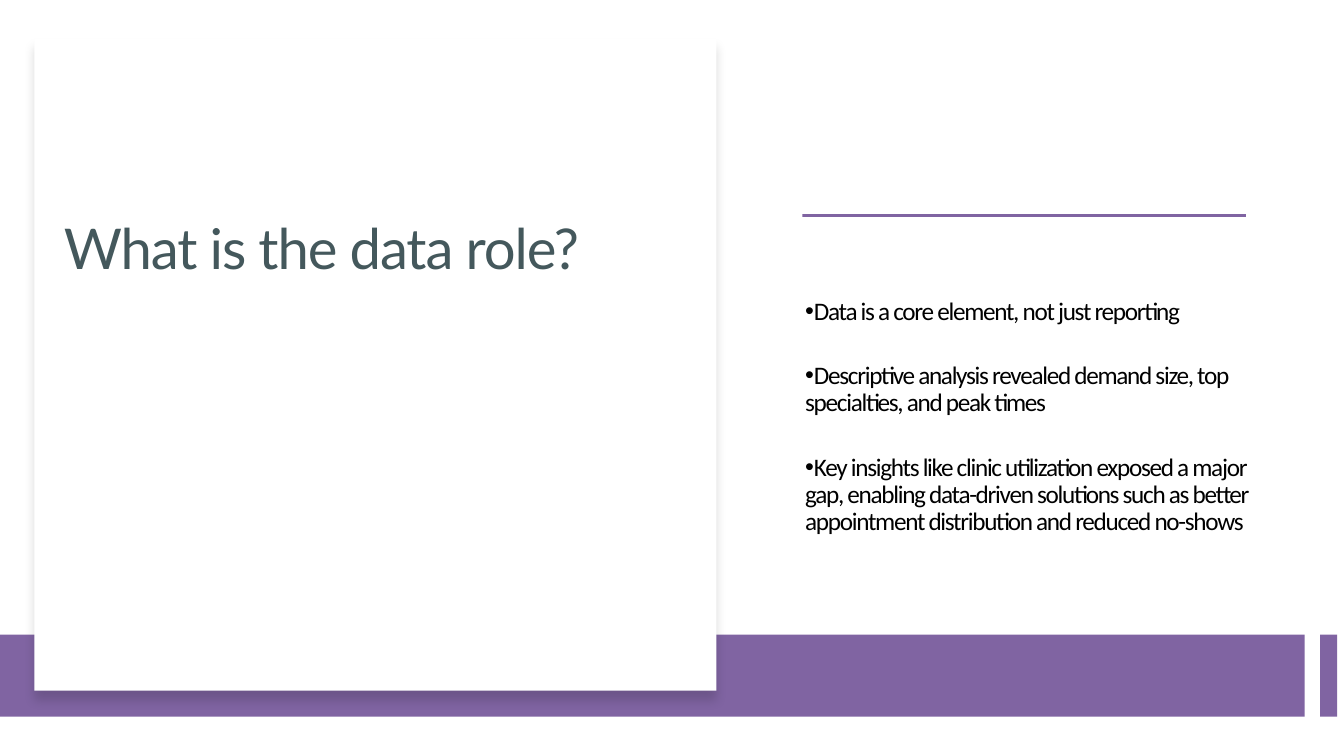
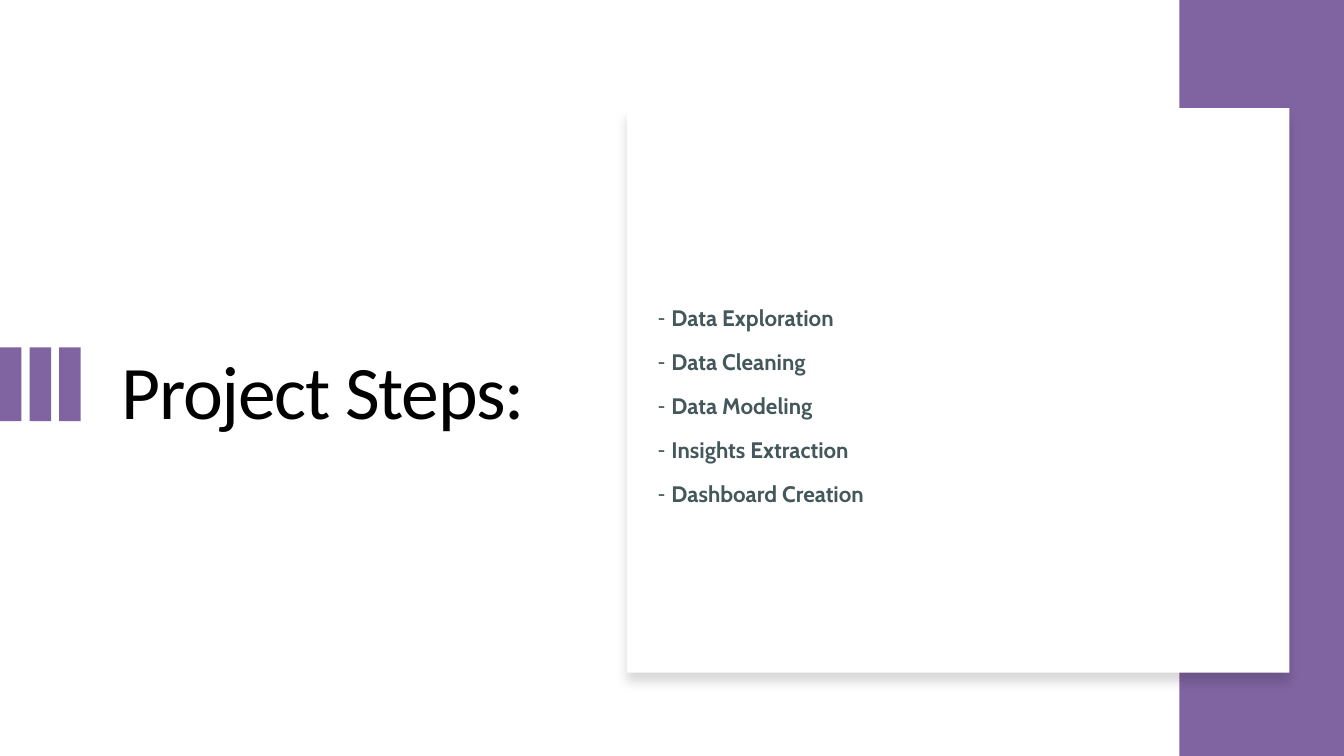
from dataclasses import dataclass

import lxml.etree
import pptx
import pptx.dml.color
import pptx.enum.shapes
import pptx.enum.text
import pptx.oxml
import pptx.oxml.ns
import pptx.util

Cm = pptx.util.Cm
Pt = pptx.util.Pt
RGBColor = pptx.dml.color.RGBColor
ANCHOR = pptx.enum.text.MSO_ANCHOR

PURPLE = RGBColor(0x80, 0x64, 0xA2)
SLATE = RGBColor(0x44, 0x58, 0x5C)
BLACK = RGBColor(0x00, 0x00, 0x00)
WHITE = RGBColor(0xFF, 0xFF, 0xFF)

SLIDE_WIDTH, SLIDE_HEIGHT = 50.8, 28.58
BAND_TOP, BAND_HEIGHT = 23.99, 3.1
MARKER_COUNT, MARKER_STEP = 3, 1.12

CARD_SHADOW = (
    f'<a:effectLst {pptx.oxml.ns.nsdecls("a")}>'
    '<a:outerShdw blurRad="139700" dist="127000" dir="5400000" algn="t" rotWithShape="0">'
    '<a:srgbClr val="000000"><a:alpha val="15000"/></a:srgbClr>'
    '</a:outerShdw></a:effectLst>'
)


@dataclass(frozen=True)
class Box:
    """A rectangle in centimetres."""
    left: float
    top: float
    width: float
    height: float

    def lengths(self) -> tuple:
        return Cm(self.left), Cm(self.top), Cm(self.width), Cm(self.height)


@dataclass(frozen=True)
class TextStyle:
    font: str
    size: float
    color: RGBColor
    line_spacing: float | pptx.util.Length
    tracking: float = 0
    bold: bool = False
    space_after: float = 6
    bullet: str = ""
    margin: float = 0
    hanging: float = 0
    anchor: ANCHOR = ANCHOR.TOP
    inset: bool = False


CARD_TITLE = TextStyle("Lato", 60.2, SLATE, Pt(72.2), tracking=-1.2)
OPEN_TITLE = TextStyle("Calibri", 81, BLACK, 0.9, tracking=-1.4,
                       anchor=ANCHOR.MIDDLE, inset=True)
FINDINGS = TextStyle("Calibri", 27, BLACK, 0.9, tracking=-1.4, space_after=40,
                     bullet="•", hanging=0.64, anchor=ANCHOR.MIDDLE, inset=True)
STEPS = TextStyle("Cabin", 24, SLATE, Pt(17.5), bold=True, space_after=29.5,
                  bullet="-", margin=0.51, hanging=0.51)


def add_block(slide: pptx.slide.Slide, box: Box, color: RGBColor = PURPLE):
    block = slide.shapes.add_shape(
        pptx.enum.shapes.MSO_SHAPE.RECTANGLE, *box.lengths())
    block.shadow.inherit = False
    block.fill.solid()
    block.fill.fore_color.rgb = color
    block.line.fill.background()
    return block


def add_card(slide: pptx.slide.Slide, box: Box) -> None:
    """Add a white panel with a soft shadow below it."""
    properties = add_block(slide, box, WHITE).element.spPr
    properties.remove(properties.find(pptx.oxml.ns.qn("a:effectLst")))
    properties.append(pptx.oxml.parse_xml(CARD_SHADOW))


def format_paragraph(paragraph, style: TextStyle) -> None:
    paragraph.alignment = pptx.enum.text.PP_ALIGN.LEFT
    paragraph.line_spacing = style.line_spacing
    paragraph.space_before = Pt(0)
    paragraph.space_after = Pt(style.space_after)
    if style.bullet:
        properties = paragraph._p.get_or_add_pPr()
        properties.set("marL", str(Cm(style.margin)))
        properties.set("indent", str(-Cm(style.hanging)))
        lxml.etree.SubElement(
            properties, pptx.oxml.ns.qn("a:buChar"), char=style.bullet)
    font = paragraph.font
    font.name = style.font
    font.size = Pt(style.size)
    font.bold = style.bold
    font.color.rgb = style.color
    font._rPr.set("spc", str(round(style.tracking * 100)))


def fill_placeholder(slide: pptx.slide.Slide, index: int, box: Box,
                     lines: list[str], style: TextStyle) -> None:
    """Write into a placeholder and bring it in front of the blocks."""
    holder = slide.placeholders[index]
    holder.left, holder.top, holder.width, holder.height = box.lengths()
    frame = holder.text_frame
    frame.word_wrap = True
    frame.auto_size = pptx.enum.text.MSO_AUTO_SIZE.NONE
    frame.vertical_anchor = style.anchor
    if not style.inset:
        frame.margin_left = frame.margin_right = Cm(0)
        frame.margin_top = frame.margin_bottom = Cm(0)
    frame.text = "\n".join(lines)
    for paragraph in frame.paragraphs:
        format_paragraph(paragraph, style)
    slide.shapes.element.append(holder.element)


def build_data_role(slide: pptx.slide.Slide) -> None:
    add_block(slide, Box(0, BAND_TOP, 49.31, BAND_HEIGHT))
    add_block(slide, Box(49.9, BAND_TOP, 0.64, BAND_HEIGHT))
    add_card(slide, Box(1.3, 1.47, 25.78, 24.64))
    add_block(slide, Box(30.33, 8.1, 16.76, 0.1))
    fill_placeholder(slide, 0, Box(2.41, 8.05, 23.44, 2.49),
                     ["What is the data role?"], CARD_TITLE)
    fill_placeholder(slide, 1, Box(30.18, 8.46, 17.86, 14.63), [
        "Data is a core element, not just reporting",
        "Descriptive analysis revealed demand size, top specialties, and peak times",
        "Key insights like clinic utilization exposed a major gap, enabling "
        "data-driven solutions such as better appointment distribution and "
        "reduced no-shows",
    ], FINDINGS)


def build_project_steps(slide: pptx.slide.Slide) -> None:
    for marker in range(MARKER_COUNT):
        add_block(slide, Box(marker * MARKER_STEP, 13.13, 0.81, 2.79))
    add_block(slide, Box(44.58, 0, SLIDE_WIDTH - 44.58, SLIDE_HEIGHT))
    add_card(slide, Box(23.7, 4.09, 25.04, 21.34))
    fill_placeholder(slide, 0, Box(4.34, 6.17, 16.23, 17.5),
                     ["Project Steps:"], OPEN_TITLE)
    fill_placeholder(slide, 1, Box(24.87, 11.91, 10.9, 7.21), [
        "Data Exploration",
        "Data Cleaning",
        "Data Modeling",
        "Insights Extraction",
        "Dashboard Creation",
    ], STEPS)


def main() -> None:
    presentation = pptx.Presentation()
    presentation.slide_width = Cm(SLIDE_WIDTH)
    presentation.slide_height = Cm(SLIDE_HEIGHT)
    title_and_content = presentation.slide_layouts[1]
    for build in (build_data_role, build_project_steps):
        build(presentation.slides.add_slide(title_and_content))
    presentation.save("out.pptx")


if __name__ == "__main__":
    main()
